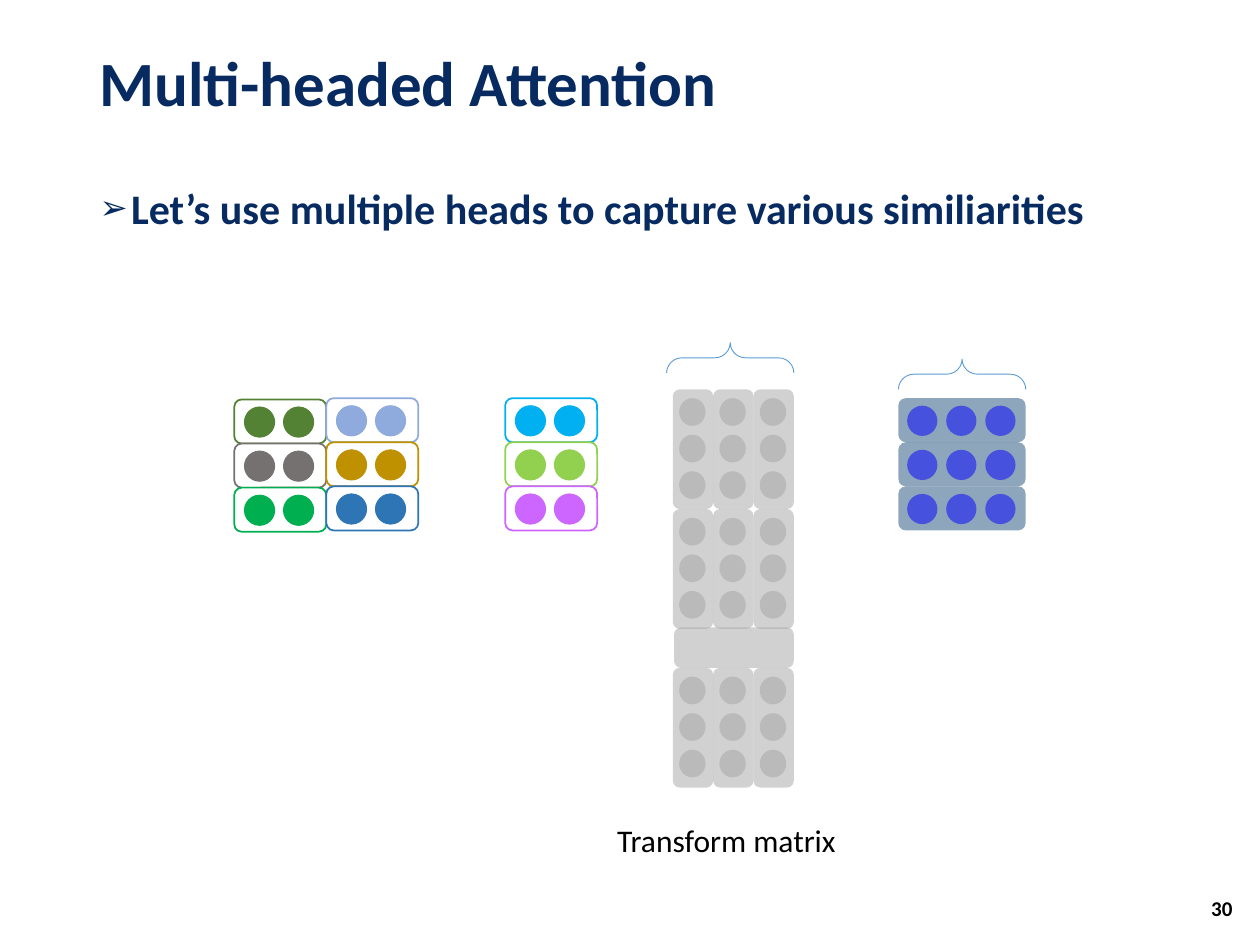
from lxml.etree import SubElement
from pptx import Presentation
from pptx.dml.color import RGBColor
from pptx.enum.shapes import MSO_SHAPE as SHAPE
from pptx.enum.text import MSO_ANCHOR as ANCHOR, PP_ALIGN as ALIGN
from pptx.oxml.ns import qn
from pptx.util import Pt

PX = 9144  # 100 px to the inch
FONT = "Calibri"

NAVY = RGBColor(0x07, 0x2B, 0x61)
BLACK = RGBColor(0x00, 0x00, 0x00)
WHITE = RGBColor(0xFF, 0xFF, 0xFF)
GREY = RGBColor(0xA5, 0xA5, 0xA5)
STEEL = RGBColor(0x1F, 0x4E, 0x79)
BLUE = RGBColor(0x00, 0x00, 0xFF)
BRACE = RGBColor(0x5B, 0x9B, 0xD5)
MOSS = RGBColor(0x54, 0x82, 0x35)
TAUPE = RGBColor(0x76, 0x71, 0x71)
GREEN = RGBColor(0x00, 0xB0, 0x50)
PERIWINKLE = RGBColor(0x8F, 0xAA, 0xDC)
GOLD = RGBColor(0xBF, 0x90, 0x00)
AZURE = RGBColor(0x2E, 0x75, 0xB6)
CYAN = RGBColor(0x00, 0xB0, 0xF0)
LIME = RGBColor(0x92, 0xD0, 0x50)
VIOLET = RGBColor(0xCC, 0x66, 0xFF)

ROW_H, DOT, DOT_STEP = 35, 24, 31
COL_W, COL_H, COL_DOT_STEP = 32, 95, 29


def px(*lengths):
    return [round(n * PX) for n in lengths]


def add_shape(shapes, kind, box, fill=None, line=None, width=1, alpha=None, turn=0):
    """Add a shape that covers box once it has been turned by 0, 90 or 270 degrees."""
    x, y, w, h = box
    if turn:
        x, y, w, h = x + (w - h) / 2, y + (h - w) / 2, h, w
    sp = shapes.add_shape(kind, *px(x, y, w, h))
    sp.rotation = turn
    sp.shadow.inherit = False
    if fill is None:
        sp.fill.background()
    else:
        sp.fill.solid()
        sp.fill.fore_color.rgb = fill
    if alpha:
        color = sp.fill._xPr.find(qn("a:solidFill"))[0]
        SubElement(color, qn("a:alpha"), val=str(alpha * 1000))
    if line is None:
        sp.line.fill.background()
    else:
        sp.line.color.rgb = line
        sp.line.width = Pt(width)
    return sp


def format_text(p, size, color, bold=False):
    for r in p.runs:
        r.font.name = FONT
        r.font.size = Pt(size)
        r.font.bold = bold
        r.font.color.rgb = color


def place(sp, box):
    sp.left, sp.top, sp.width, sp.height = px(*box)


def add_title(slide, box, text):
    sp = slide.shapes.title
    place(sp, box)
    tf = sp.text_frame
    tf.text = text
    tf.vertical_anchor = ANCHOR.MIDDLE
    p = tf.paragraphs[0]
    p.alignment = ALIGN.LEFT
    p.line_spacing = 0.9
    format_text(p, 36, NAVY, bold=True)


def add_body(slide, box, text):
    sp = slide.placeholders[1]
    place(sp, box)
    sp.text_frame.text = text
    p = sp.text_frame.paragraphs[0]
    pPr = p._p.get_or_add_pPr()
    indent = px(25)[0]
    pPr.set("marL", str(indent))
    pPr.set("indent", str(-indent))
    SubElement(pPr, qn("a:buSzPct"), val="80000")
    SubElement(pPr, qn("a:buFont"), typeface="Arial")
    SubElement(pPr, qn("a:buChar"), char="➢")
    p.line_spacing = 0.9
    p.space_before = Pt(0)
    format_text(p, 24, NAVY, bold=True)


def add_label(slide, box, text, size, bold=False, align=ALIGN.LEFT, anchor=ANCHOR.TOP, wrap=False):
    tf = slide.shapes.add_textbox(*px(*box)).text_frame
    tf.word_wrap = wrap
    tf.vertical_anchor = anchor
    tf.text = text
    p = tf.paragraphs[0]
    p.alignment = align
    format_text(p, size, BLACK, bold)


def add_dots(shapes, x, y, count, **style):
    for i in range(count):
        add_shape(shapes, SHAPE.OVAL, (x + i * DOT_STEP, y, DOT, DOT), **style)


def add_head(slide, x, y, colors):
    """Stack one outlined two-dot vector for each colour."""
    shapes = slide.shapes.add_group_shape().shapes
    for i, color in enumerate(colors):
        top = y + i * ROW_H
        add_shape(shapes, SHAPE.ROUNDED_RECTANGLE, (x, top, 73, ROW_H), WHITE, color)
        add_dots(shapes, x + 8, top + 6, 2, fill=color, line=color, width=0.5)


def add_result(slide, x, y):
    """Stack the three translucent three-dot output vectors."""
    shapes = slide.shapes.add_group_shape().shapes
    for i in range(3):
        top = y + i * ROW_H
        add_shape(shapes, SHAPE.ROUNDED_RECTANGLE, (x, top, 101, ROW_H), STEEL, alpha=50)
        add_dots(shapes, x + 7, top + 6, 3, fill=BLUE, alpha=50)


def add_matrix_block(slide, x, y):
    """Place three upright columns of three dots side by side."""
    shapes = slide.shapes.add_group_shape().shapes
    for col in range(3):
        left = x + col * COL_W
        add_shape(shapes, SHAPE.ROUNDED_RECTANGLE, (left, y, COL_W, COL_H),
                  GREY, alpha=50, turn=270)
        for row in range(3):
            add_shape(shapes, SHAPE.OVAL, (left + 5, y + 7 + row * COL_DOT_STEP, 21, 22),
                      GREY, alpha=50, turn=270)


def add_brace(slide, x, y):
    sp = add_shape(slide.shapes, SHAPE.LEFT_BRACE, (x, y, 101, 24),
                   line=BRACE, width=0.5, turn=90)
    sp.adjustments[0] = 0.508


def main():
    prs = Presentation()
    prs.slide_width, prs.slide_height = px(1000, 750)
    slide = prs.slides.add_slide(prs.slide_layouts[1])

    add_title(slide, (69, 18, 862, 101), "Multi-headed Attention")
    add_body(slide, (69, 144, 862, 544),
             "Let’s use multiple heads to capture various similiarities")

    add_head(slide, 186, 317, (MOSS, TAUPE, GREEN))
    add_head(slide, 259, 316, (PERIWINKLE, GOLD, AZURE))
    add_head(slide, 401, 316, (CYAN, LIME, VIOLET))
    for y in (530, 404, 309):
        add_matrix_block(slide, 534, y)
    add_brace(slide, 529, 272)
    add_result(slide, 713, 316)
    add_brace(slide, 713, 285)

    add_label(slide, (480, 647, 195, 40), "Transform matrix", 18)
    add_shape(slide.shapes, SHAPE.ROUNDED_RECTANGLE, (535, 498, 95, 32), GREY, alpha=50)
    add_label(slide, (936, 701, 52, 40), "30", 12, bold=True,
              align=ALIGN.RIGHT, anchor=ANCHOR.MIDDLE, wrap=True)
    prs.save("out.pptx")


if __name__ == "__main__":
    main()
